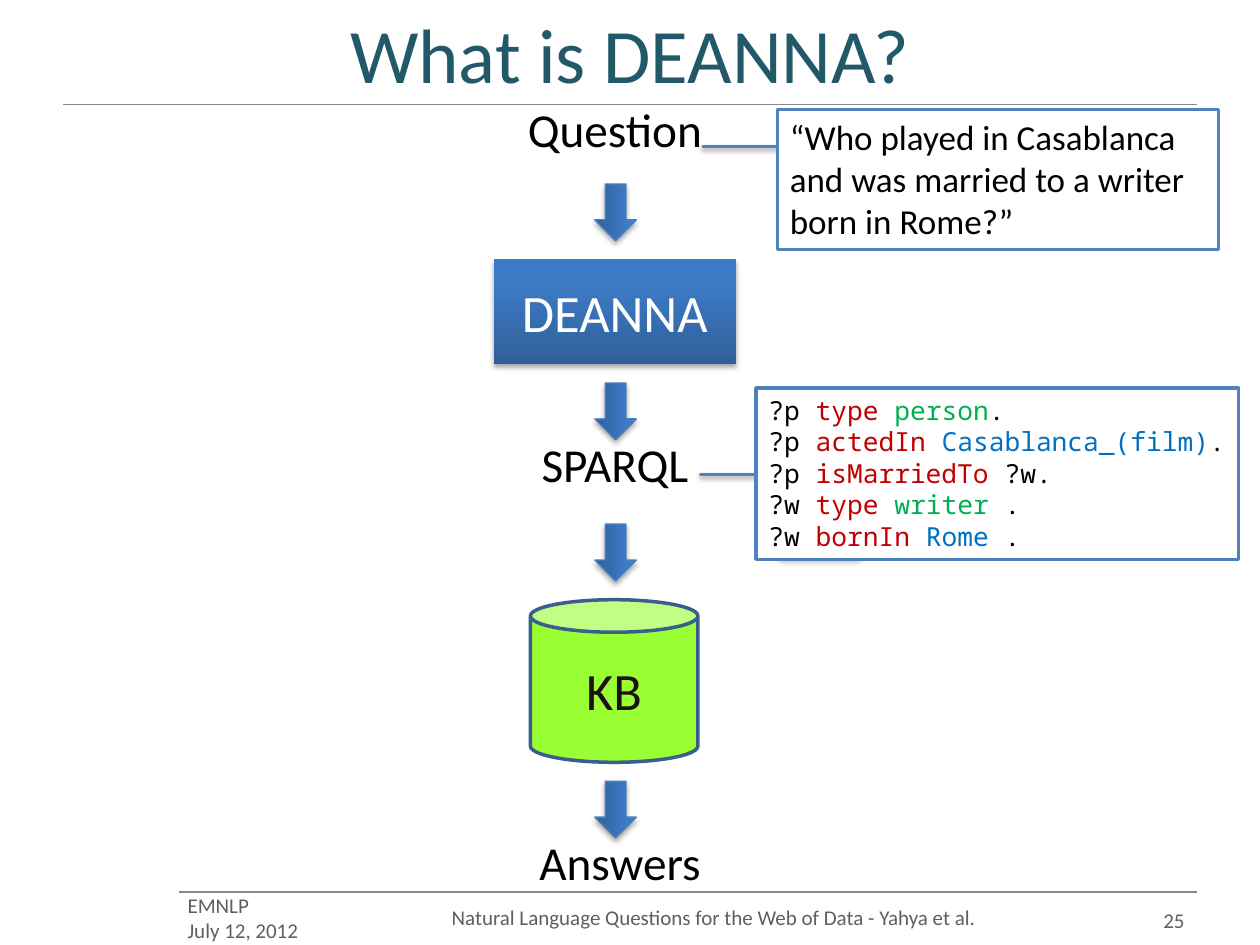
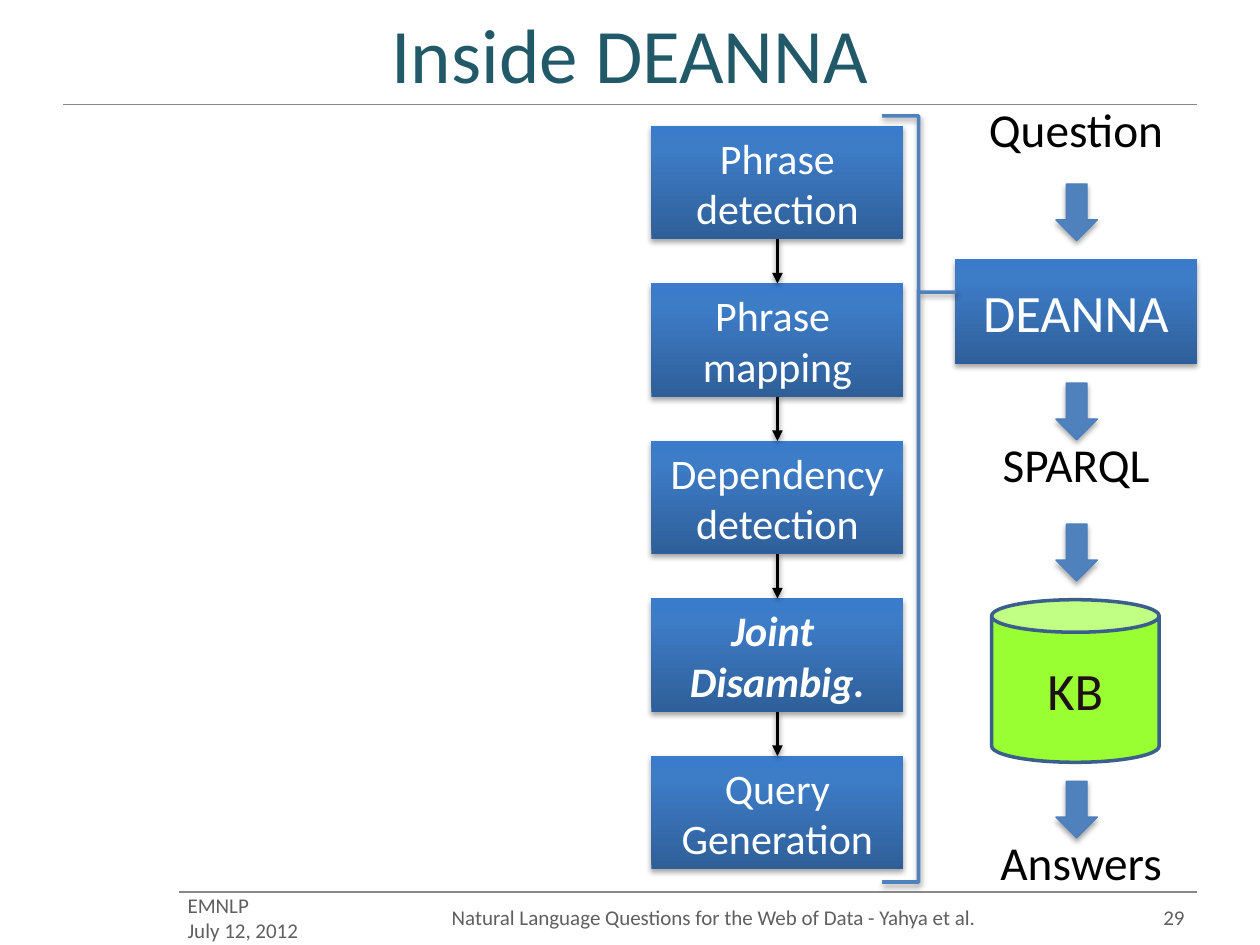
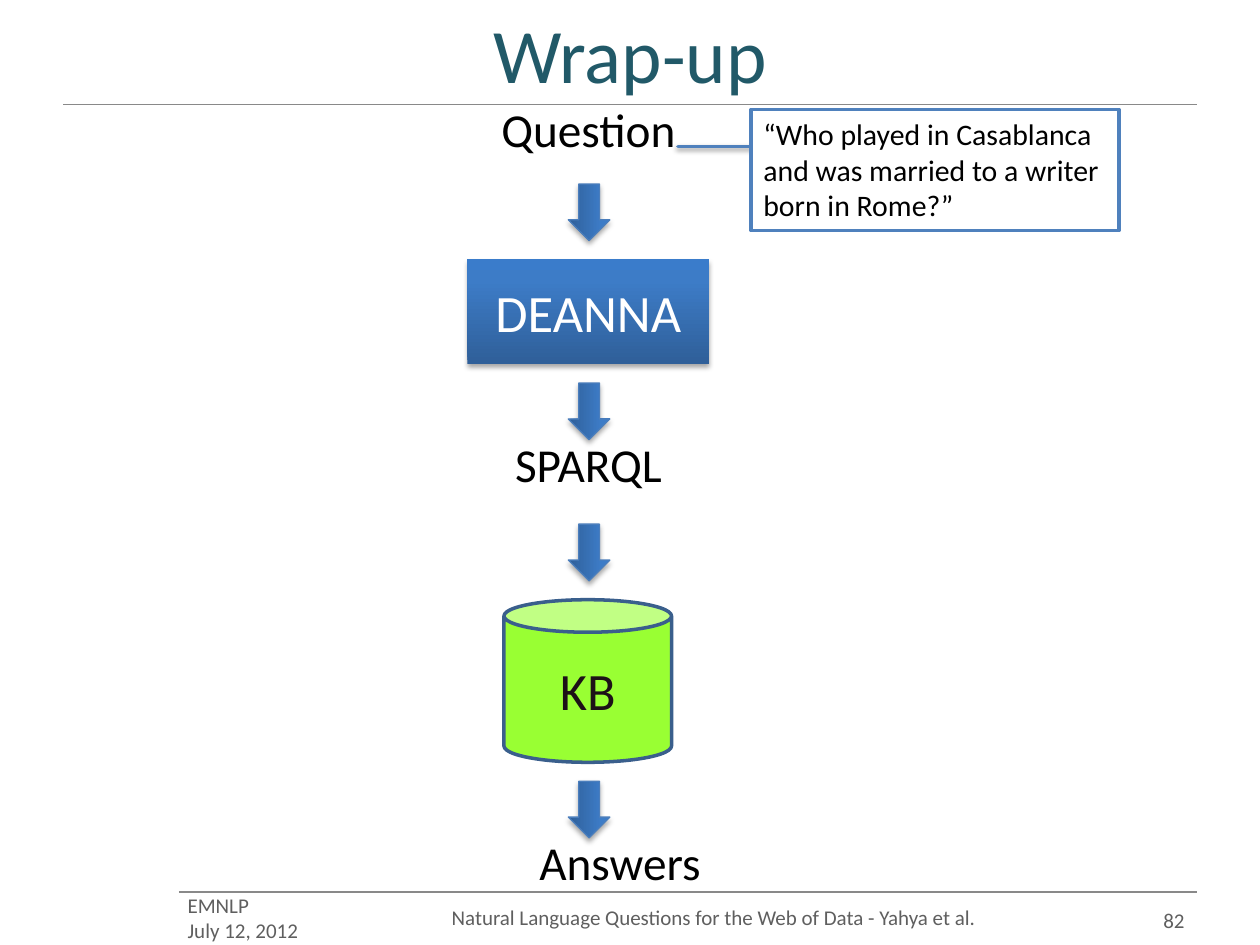
from dataclasses import dataclass

from lxml import etree
from pptx import Presentation
from pptx.dml.color import RGBColor
from pptx.enum.shapes import MSO_CONNECTOR, MSO_SHAPE
from pptx.enum.text import MSO_ANCHOR, PP_ALIGN
from pptx.oxml.ns import qn
from pptx.util import Inches, Pt

RECT, ARROW = MSO_SHAPE.RECTANGLE, MSO_SHAPE.RIGHT_ARROW
BRACE, CAN = MSO_SHAPE.RIGHT_BRACE, MSO_SHAPE.CAN
STRAIGHT = MSO_CONNECTOR.STRAIGHT
LEFT, CENTER, RIGHT = PP_ALIGN.LEFT, PP_ALIGN.CENTER, PP_ALIGN.RIGHT
TOP, MIDDLE = MSO_ANCHOR.TOP, MSO_ANCHOR.MIDDLE
SANS, MONO = "Calibri", "Noto Sans Mono"
COLORS = {
    "white": "FFFFFF", "black": "000000", "title": "215968", "foot": "5F5F5F",
    "rule": "898989", "blue": "4F81BD", "edge": "4B7EBC", "can": "99FF33",
    "rim": "3A5F8C", "ink": "1D1117", "verb": "C00000", "class": "00B050",
    "name": "0070C0", "dark": "2F5F99", "mid": "3D7CC7", "light": "3A7CCB",
}
STOPS = ((0, "dark"), (80, "mid"), (100, "light"))


@dataclass(frozen=True)
class Area:
    x: float
    y: float
    w: float
    h: float

    def lengths(self) -> list:
        return [Inches(v) for v in (self.x, self.y, self.w, self.h)]


@dataclass(frozen=True)
class Font:
    size: float
    color: str = "black"
    align: PP_ALIGN = CENTER
    anchor: MSO_ANCHOR = MIDDLE
    name: str = SANS
    bold: bool = False
    spacing: float | None = None


@dataclass(frozen=True)
class Label:
    text: str
    y: float
    w: float
    h: float
    spacing: float | None = None


@dataclass(frozen=True)
class Step:
    text: str
    strong: bool = False


LABELS = (Label("Question", 0.75, 1.6, 0.56),
          Label("SPARQL", 3.65, 1.38, 0.36, 15))
ANSWERS = Label("Answers", 6.81, 1.49, 0.36, 15)
ARROW_TOPS = (1.52, 3.1, 4.22, 6.26)
STEPS = (Step("Phrase detection"), Step("Phrase \nmapping"),
         Step("Dependency\ndetection"), Step("Joint \nDisambig.", True),
         Step("Query\nGeneration"))
ASK = "“Who played in Casablanca and was married to a writer born in Rome?”"
QUERY = (
    (("?p ", "black"), ("type ", "verb"), ("person", "class"), (".", "black")),
    (("?p ", "black"), ("actedIn ", "verb"), ("Casablanca_(film)", "name"),
     (".", "black")),
    (("?p ", "black"), ("isMarriedTo", "verb"), (" ?w.", "black")),
    (("?w ", "black"), ("type ", "verb"), ("writer ", "class"), (".", "black")),
    (("?w ", "black"), ("bornIn ", "verb"), ("Rome", "name"), (" .", "black")),
)


def rgb(key: str) -> RGBColor:
    return RGBColor.from_string(COLORS[key])


def shade(shape, alpha: int, dist: float) -> None:
    """Give a shape or connector a soft shadow straight below it."""
    props = shape._element.spPr
    effects = props.find(qn("a:effectLst"))
    if effects is None:
        effects = etree.SubElement(props, qn("a:effectLst"))
    shadow = etree.SubElement(
        effects, qn("a:outerShdw"), blurRad=str(Pt(3.1)), dist=str(Pt(dist)),
        dir="5400000", rotWithShape="0")
    color = etree.SubElement(shadow, qn("a:srgbClr"), val=COLORS["black"])
    etree.SubElement(color, qn("a:alpha"), val=str(alpha * 1000))


def blend(shape) -> None:
    """Fill a shape with the blue gradient, dark at its foot."""
    shape.fill.gradient()
    shape.fill.gradient_angle = 90
    stops = shape._element.spPr.find(qn("a:gradFill")).find(qn("a:gsLst"))
    for stop in list(stops):
        stops.remove(stop)
    for place, key in STOPS:
        stop = etree.SubElement(stops, qn("a:gs"), pos=str(place * 1000))
        etree.SubElement(stop, qn("a:srgbClr"), val=COLORS[key])


def style(frame, font: Font) -> None:
    frame.vertical_anchor = font.anchor
    for par in frame.paragraphs:
        par.alignment = font.align
        par.font.name, par.font.size = font.name, Pt(font.size)
        par.font.color.rgb = rgb(font.color)
        if font.bold:
            par.font.bold = par.font.italic = True
        if font.spacing:
            par.line_spacing = Pt(font.spacing)


def write(slide, text: str, area: Area, font: Font, wrap: bool = True) -> None:
    frame = slide.shapes.add_textbox(*area.lengths()).text_frame
    frame.text, frame.word_wrap = text, wrap
    style(frame, font)


def draw(slide, kind: MSO_SHAPE, area: Area, fill: str | None = None,
         line: str | None = None, width: float = 2):
    """Add a plain shape; the fill "blend" stands for the blue gradient."""
    shape = slide.shapes.add_shape(kind, *area.lengths())
    shape.shadow.inherit = False
    if fill == "blend":
        blend(shape)
    elif fill:
        shape.fill.solid()
        shape.fill.fore_color.rgb = rgb(fill)
    else:
        shape.fill.background()
    if line:
        shape.line.color.rgb, shape.line.width = rgb(line), Pt(width)
    else:
        shape.line.fill.background()
    return shape


def link(slide, x1: float, y1: float, x2: float, y2: float,
         color: str, width: float):
    line = slide.shapes.add_connector(
        STRAIGHT, Inches(x1), Inches(y1), Inches(x2), Inches(y2))
    line.line.color.rgb, line.line.width = rgb(color), Pt(width)
    etree.SubElement(line._element.spPr, qn("a:effectLst"))
    return line


def box(slide, text: str, area: Area, size: float, bold: bool = False) -> None:
    shape = draw(slide, RECT, area, "blend")
    shade(shape, 35, 1.8)
    shape.text_frame.text = text
    style(shape.text_frame, Font(size, "white", bold=bold))


def brace(slide, area: Area, tip: float, turn: int = 0) -> None:
    shape = draw(slide, BRACE, area, line="blue")
    shape.adjustments[0], shape.adjustments[1] = 0, tip
    shape.rotation = turn
    shade(shape, 38, 1.6)


def note(slide, area: Area, font: Font, text: str = "", rows: tuple = ()) -> None:
    """Add a framed note, with plain text or with rows of coloured runs."""
    frame = draw(slide, RECT, area, "white", "blue").text_frame
    frame.text = text or "\n" * (len(rows) - 1)
    style(frame, font)
    for par, row in zip(frame.paragraphs, rows):
        for part, key in row:
            run = par.add_run()
            run.text = part
            run.font.color.rgb = rgb(key)


def flow(slide, mid: float, end: float, fill: str = "blend") -> None:
    """Draw the chain from question to answers, centred on mid."""
    box(slide, "DEANNA", Area(mid - 0.96, 2.06, 1.92, 0.83), 30)
    for y in ARROW_TOPS:
        arrow = draw(slide, ARROW, Area(mid - 0.22, y, 0.45, 0.33),
                     fill, "edge", 0.75)
        arrow.rotation = 90
        shade(arrow, 35, 1.8)
    store = draw(slide, CAN, Area(mid - 0.67, 4.76, 1.33, 1.29), "can", "rim")
    store.adjustments[0] = 0.2
    store.text_frame.text = "KB"
    style(store.text_frame, Font(30, "ink"))
    for label, x in [(item, mid) for item in LABELS] + [(ANSWERS, end)]:
        area = Area(x - label.w / 2, label.y, label.w, label.h)
        write(slide, label.text, area,
              Font(27, anchor=TOP, spacing=label.spacing), wrap=False)


def start(deck, title: str, number: int, drop: float = 7.1):
    """Add a slide with its title, rules and footer."""
    slide = deck.slides.add_slide(deck.slide_layouts[5])
    head = slide.shapes.title
    head.left, head.top, head.width, head.height = Area(0.5, 0, 9, 0.83).lengths()
    head.text_frame.text = title
    style(head.text_frame, Font(44, "title"))
    link(slide, 1.42, 7.08, 9.5, 7.08, "rule", 0.75)
    link(slide, 0.5, 0.83, 9.5, 0.83, "rule", 0.75)
    for text, area, align in (
            ("EMNLP\nJuly 12, 2012", Area(1.39, 7.08, 1.28, 0.4), LEFT),
            ("Natural Language Questions for the Web of Data - Yahya et al.",
             Area(2.93, 7.08, 5.47, 0.4), CENTER),
            (str(number), Area(8.67, drop, 0.83, 0.4), RIGHT)):
        write(slide, text, area, Font(12, "foot", align))
    return slide


def intro(deck) -> None:
    slide = start(deck, "What is DEANNA?", 25)
    brace(slide, Area(5.56, 3.25, 1.27, 1.17), 0.56, 180)
    brace(slide, Area(5.58, 0.92, 1.42, 0.83), 0.71, 180)
    note(slide, Area(6, 3.08, 3.83, 1.36),
         Font(15, align=LEFT, anchor=TOP, name=MONO), rows=QUERY)
    note(slide, Area(6.17, 0.87, 3.5, 1.11),
         Font(20, align=LEFT, anchor=TOP), ASK)
    flow(slide, 4.88, 4.92)


def inside(deck) -> None:
    slide = start(deck, "Inside DEANNA", 29, 7.08)
    flow(slide, 8.54, 8.58, "blue")
    left, top, wide, high, pitch = 5.17, 1, 2, 0.9, 1.25
    for i, step in enumerate(STEPS):
        y = top + i * pitch
        box(slide, step.text, Area(left, y, wide, high), 24, step.strong)
    brace(slide, Area(7, 0.92, 0.58, 6.08), 0.23)
    for i in range(len(STEPS) - 1):
        x, y = left + wide / 2, top + i * pitch
        line = link(slide, x, y + high, x, y + pitch, "black", 2)
        etree.SubElement(line.line._get_or_add_ln(), qn("a:tailEnd"),
                         type="triangle")
        shade(line, 38, 1.6)


def wrap_up(deck) -> None:
    slide = start(deck, "Wrap-up", 82)
    brace(slide, Area(5.38, 0.92, 1.42, 0.83), 0.71, 180)
    note(slide, Area(5.96, 0.87, 2.92, 0.96),
         Font(17, align=LEFT, anchor=TOP), ASK)
    flow(slide, 4.67, 4.92)


def main() -> None:
    deck = Presentation()
    deck.slide_width, deck.slide_height = Inches(10), Inches(7.5)
    intro(deck)
    inside(deck)
    wrap_up(deck)
    deck.save("out.pptx")


if __name__ == "__main__":
    main()
